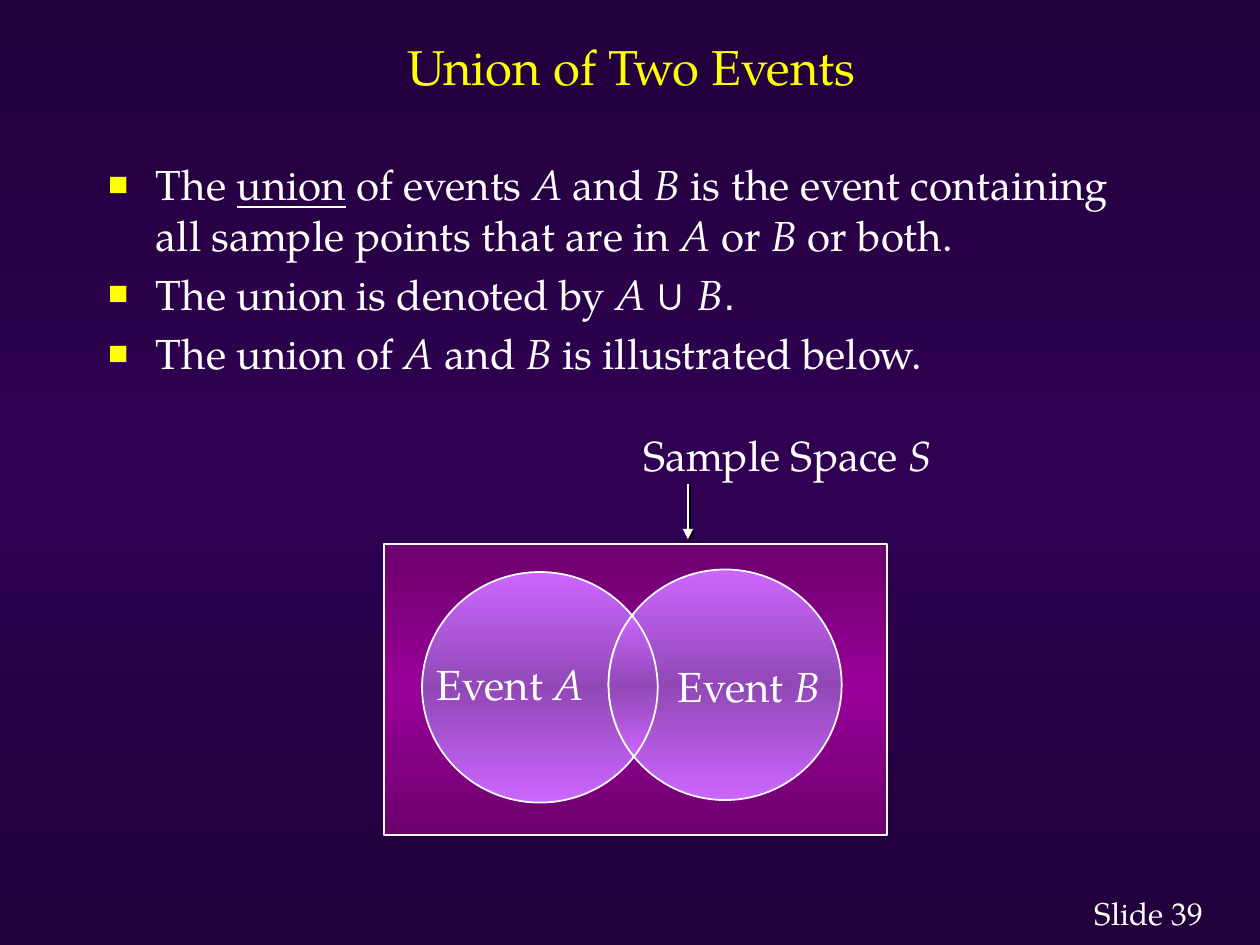
"""Build a slide that defines and illustrates the union of two events."""
import math
from dataclasses import dataclass
from typing import Iterator, NamedTuple

import lxml.etree
import pptx
import pptx.dml.color
import pptx.enum.shapes
import pptx.enum.text
import pptx.oxml
import pptx.oxml.ns
import pptx.util

COLUMNS, ROWS = 100, 75
CELL = pptx.util.Inches(0.1)
SERIF, SANS = "TeX Gyre Pagella", "Arial"
EDGE_SHADE = 46275
COLORS = {
    "backdrop": "300153",
    "space": "990099",
    "event": "CC66FF",
    "ink": "FFFFFF",
    "accent": "FFFF00",
    "shadow": "000000",
}
DRAWING = 'xmlns:a="http://schemas.openxmlformats.org/drawingml/2006/main"'
SHAPES = pptx.enum.shapes.MSO_SHAPE
ANCHORS = pptx.enum.text.MSO_ANCHOR


class Area(NamedTuple):
    left: float
    top: float
    width: float
    height: float

    def emu(self) -> list[int]:
        return [round(cells * CELL) for cells in self]

    def arc(self, start: int, end: int, steps: int = 24) -> Iterator[tuple[float, float]]:
        for step in range(steps + 1):
            angle = math.radians(start + (end - start) * step / steps)
            yield (
                (self.left + self.width * (1 + math.cos(angle)) / 2) * CELL,
                (self.top + self.height * (1 + math.sin(angle)) / 2) * CELL,
            )


@dataclass(frozen=True)
class Run:
    text: str
    italic: bool = False
    underline: bool = False
    font: str = SERIF


@dataclass(frozen=True)
class Text:
    area: Area
    paragraphs: list[list[Run]]
    size: int = 24
    color: str = "ink"
    wrap: bool = True
    centered: bool = False
    bulleted: bool = False
    shadowed: bool = False
    anchor: ANCHORS = ANCHORS.TOP


A, B = Run("A", italic=True), Run("B", italic=True)
SPACE = Area(30.5, 43.2, 39.9, 23.1)
EVENT_A = Area(33.5, 45.4, 18.7, 18.3)
EVENT_B = Area(48.3, 45.2, 18.5, 18.3)

TITLE = Text(Area(7.6, 2, 85, 6.4), [[Run("Union of Two Events")]], size=28,
             color="accent", centered=True, anchor=ANCHORS.MIDDLE)
DEFINITION = Text(Area(7.6, 12.1, 85, 50.8), [
    [Run("The "), Run("union", underline=True), Run(" of events "), A, Run(" and "), B,
     Run(" is the event containing all sample points that are in "),
     Run("A ", italic=True), Run("or"), Run(" B ", italic=True), Run("or both.")],
    [Run("The union is denoted by "), Run("A ", italic=True), Run("∪ ", font=SANS), B,
     Run(".", font=SANS)],
    [Run("The union of "), A, Run(" and "), B, Run(" is illustrated below.")],
], bulleted=True)
SPACE_LABEL = Text(Area(50.1, 33.6, 24.9, 5),
                   [[Run("Sample Space "), Run("S", italic=True)]],
                   wrap=False, shadowed=True)
EVENT_LABELS = [
    Text(Area(33.7, 51.8, 16.7, 5), [[Run("Event "), A]]),
    Text(Area(52.8, 51.9, 13.4, 5), [[Run("Event "), B]], wrap=False),
]
FOOTER = [
    Text(Area(85.9, 70.5, 9.1, 4), [[Run("Slide")]], size=18, shadowed=True),
    Text(Area(92, 70.5, 5.2, 4), [[Run("39")]], size=18, shadowed=True),
]


def rgb(name: str) -> pptx.dml.color.RGBColor:
    return pptx.dml.color.RGBColor.from_string(COLORS[name])


def paint_gradient(fill, name: str) -> None:
    """Fade from a shaded edge to the pure colour and back, top to bottom."""
    fill.gradient()
    fill.gradient_angle = 270
    stops = fill.gradient_stops[0]._gs.getparent()
    for stop in list(stops):
        stops.remove(stop)
    edge = f'<a:shade val="{EDGE_SHADE}"/>'
    tones = ["", edge, ""] if name == "event" else [edge, "", edge]
    for position, tone in zip((0, 50000, 100000), tones):
        stops.append(pptx.oxml.parse_xml(
            f'<a:gs {DRAWING} pos="{position}"><a:srgbClr val="{COLORS[name]}">'
            f'{tone}</a:srgbClr></a:gs>'))


def shadow_effect() -> lxml.etree._Element:
    return pptx.oxml.parse_xml(
        f'<a:effectLst {DRAWING}><a:outerShdw dist="17961" dir="2700000">'
        f'<a:srgbClr val="{COLORS["shadow"]}"/></a:outerShdw></a:effectLst>')


def add_bullet(paragraph) -> None:
    paragraph.space_before = pptx.util.Pt(5)
    properties = paragraph._p.get_or_add_pPr()
    indent = round(3.8 * CELL)
    properties.set("marL", str(indent))
    properties.set("indent", str(-indent))
    for markup in (
        f'<a:buClr {DRAWING}><a:srgbClr val="{COLORS["accent"]}"/></a:buClr>',
        f'<a:buSzPct {DRAWING} val="80000"/>',
        f'<a:buFont {DRAWING} typeface="{SANS}"/>',
        f'<a:buChar {DRAWING} char="■"/>',
    ):
        properties.append(pptx.oxml.parse_xml(markup))


def add_text(slide, text: Text) -> None:
    frame = slide.shapes.add_textbox(*text.area.emu()).text_frame
    frame.word_wrap = text.wrap
    frame.vertical_anchor = text.anchor
    if not text.wrap:
        frame.auto_size = pptx.enum.text.MSO_AUTO_SIZE.SHAPE_TO_FIT_TEXT
    for index, runs in enumerate(text.paragraphs):
        paragraph = frame.add_paragraph() if index else frame.paragraphs[0]
        if text.centered:
            paragraph.alignment = pptx.enum.text.PP_ALIGN.CENTER
        if text.bulleted:
            add_bullet(paragraph)
        for part in runs:
            run = paragraph.add_run()
            run.text = part.text
            run.font.name = part.font
            run.font.size = pptx.util.Pt(text.size)
            run.font.italic = part.italic
            run.font.underline = part.underline
            run.font.color.rgb = rgb(text.color)
            if text.shadowed:
                run.font.fill._xPr.find(pptx.oxml.ns.qn("a:solidFill")).addnext(
                    shadow_effect())


def style_region(region, color: str) -> None:
    region.shadow.inherit = False
    paint_gradient(region.fill, color)
    region.line.color.rgb = rgb("ink")
    region.line.width = pptx.util.Pt(1)


def add_overlap(slide) -> None:
    """Outline the shared part with the facing arcs of both events."""
    outline = [*EVENT_B.arc(218, 142), *EVENT_A.arc(38, -38)]
    builder = slide.shapes.build_freeform(*outline[0])
    builder.add_line_segments(outline[1:], close=True)
    style_region(builder.convert_to_shape(), "event")


def add_pointer(slide, column: float, top: float, bottom: float) -> None:
    x = round(column * CELL)
    pointer = slide.shapes.add_connector(
        pptx.enum.shapes.MSO_CONNECTOR.STRAIGHT,
        x, round(top * CELL), x, round(bottom * CELL))
    pointer.line.color.rgb = rgb("ink")
    pointer.line.width = pptx.util.Pt(1)
    pointer.line._get_or_add_ln().append(
        pptx.oxml.parse_xml(f'<a:tailEnd {DRAWING} type="triangle"/>'))
    pointer._element.spPr.append(shadow_effect())


def main() -> None:
    deck = pptx.Presentation()
    deck.slide_width, deck.slide_height = COLUMNS * CELL, ROWS * CELL
    slide = deck.slides.add_slide(deck.slide_layouts[6])
    paint_gradient(slide.background.fill, "backdrop")
    for text in [*FOOTER, DEFINITION, SPACE_LABEL]:
        add_text(slide, text)
    add_pointer(slide, 54.6, 38.4, 42.8)
    for preset, area, color in (
        (SHAPES.RECTANGLE, SPACE, "space"),
        (SHAPES.OVAL, EVENT_A, "event"),
        (SHAPES.OVAL, EVENT_B, "event"),
    ):
        style_region(slide.shapes.add_shape(preset, *area.emu()), color)
    for text in EVENT_LABELS:
        add_text(slide, text)
    add_overlap(slide)
    add_text(slide, TITLE)
    deck.save("out.pptx")


if __name__ == "__main__":
    main()
